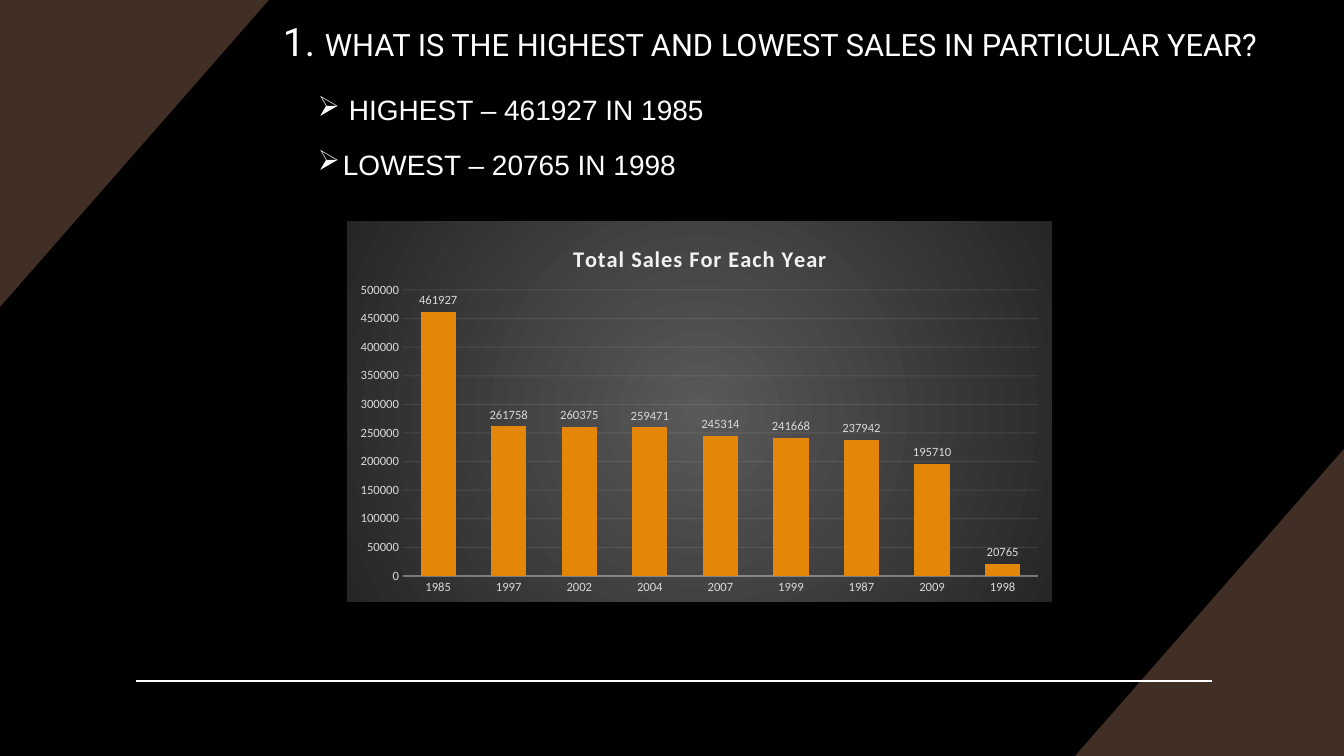
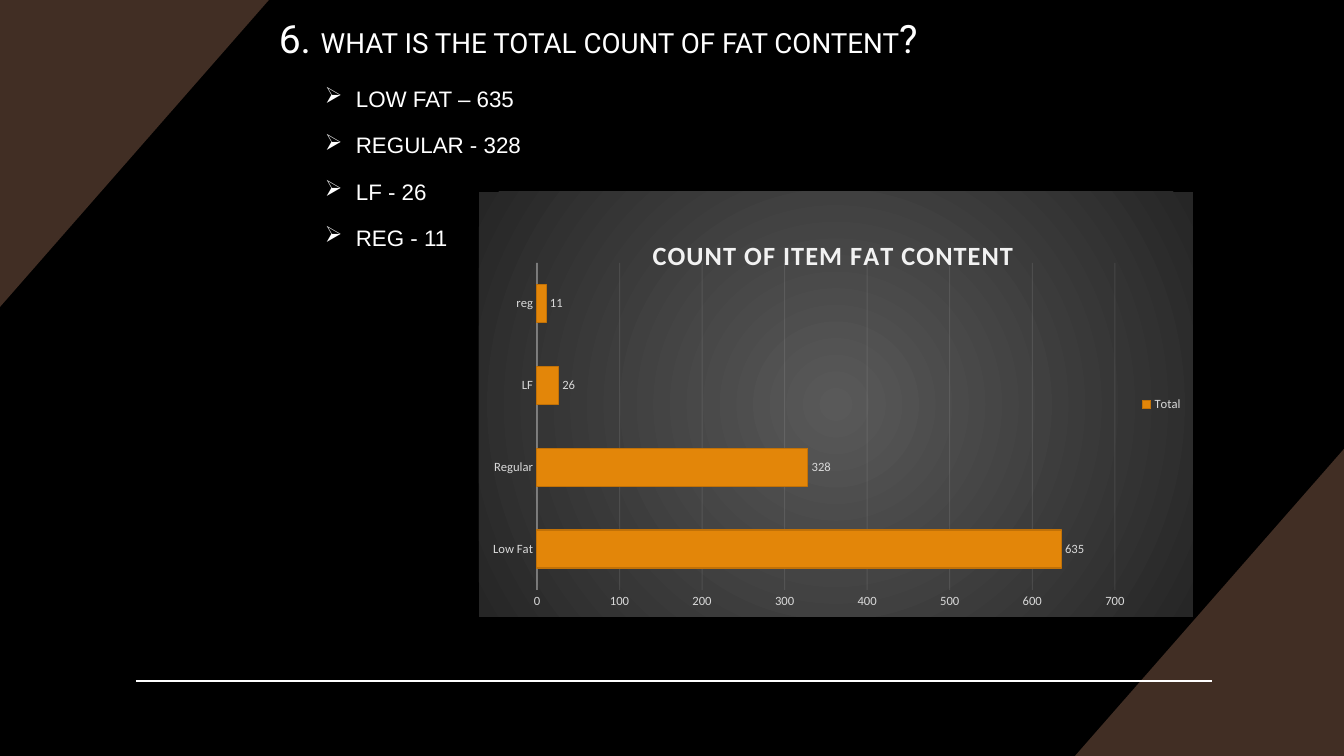
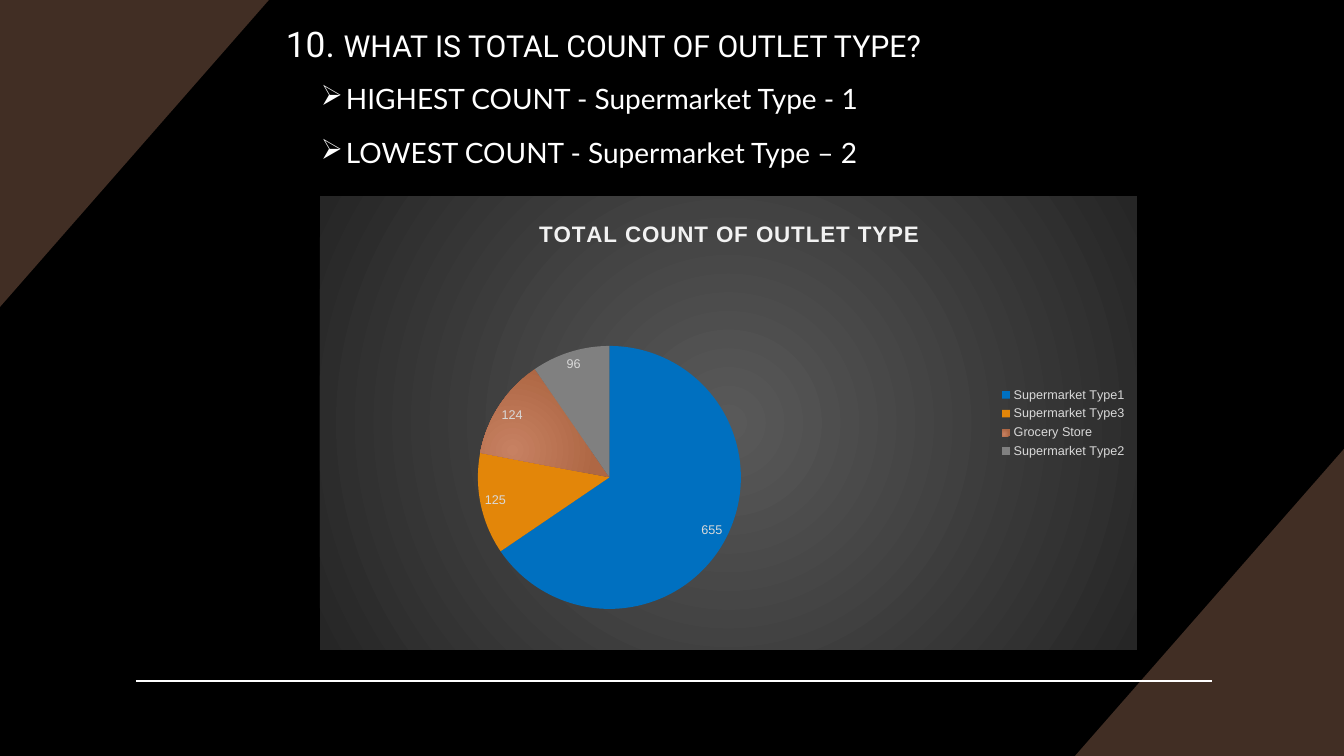
"""Build three sales question slides, each with bullets and a chart."""
from dataclasses import dataclass

from pptx import Presentation
from pptx.chart.data import CategoryChartData
from pptx.dml.color import RGBColor
from pptx.enum.chart import XL_CHART_TYPE, XL_LABEL_POSITION, XL_LEGEND_POSITION, XL_TICK_MARK
from pptx.enum.shapes import MSO_CONNECTOR
from pptx.enum.text import MSO_ANCHOR
from pptx.oxml import parse_xml
from pptx.oxml.ns import nsdecls
from pptx.util import Pt

COLUMN = XL_CHART_TYPE.COLUMN_CLUSTERED
BAR = XL_CHART_TYPE.BAR_CLUSTERED
PIE = XL_CHART_TYPE.PIE
OUTSIDE = XL_LABEL_POSITION.OUTSIDE_END
BEST = XL_LABEL_POSITION.BEST_FIT
RIGHT = XL_LEGEND_POSITION.RIGHT
NO_TICK = XL_TICK_MARK.NONE
STRAIGHT = MSO_CONNECTOR.STRAIGHT
TOP = MSO_ANCHOR.TOP
MIDDLE = MSO_ANCHOR.MIDDLE
SCALE = 914400 / 100.8


@dataclass(frozen=True)
class Theme:
    """Colours, fonts and type sizes of the deck."""
    back: str = "000000"
    corner: str = "412E24"
    text: str = "FFFFFF"
    pale: str = "F2F2F2"
    label: str = "D9D9D9"
    bar: str = "E38609"
    edge: str = "C17107"
    glow: tuple = ("595959", "262626")
    copper: tuple = ("C78162", "AE6744")
    blue: str = "0070C0"
    grey: str = "808080"
    head: str = "Roboto"
    body: str = "Arial"
    soft: str = "Lato"
    data: str = "Calibri"
    tiny: int = 9
    base: int = 10
    name: int = 16


def px(value):
    """Turn pixels into EMU."""
    return round(value * SCALE)


def rgb(code):
    """Turn a hex code into a colour."""
    return RGBColor.from_string(code)


def paint(fill, code):
    """Set a solid fill."""
    fill.solid()
    fill.fore_color.rgb = rgb(code)


def style(font, size, code, face, bold=False):
    """Set the look of a font."""
    font.size, font.name, font.bold = Pt(size), face, bold
    font.color.rgb = rgb(code)


def write(para, text, size, code, face, bold=False, gap=None):
    """Add one formatted run to a paragraph."""
    run = para.add_run()
    run.text = text
    style(run.font, size, code, face, bold)
    if gap:
        run.font._element.set("spc", str(gap))


def radial(inner, outer, rect):
    """Make a circular gradient fill."""
    sides = " ".join(f'{side}="{part * 1000}"' for side, part in zip("ltrb", rect))
    return parse_xml(
        f'<a:gradFill {nsdecls("a")}><a:gsLst>'
        f'<a:gs pos="0"><a:srgbClr val="{inner}"/></a:gs>'
        f'<a:gs pos="100000"><a:srgbClr val="{outer}"/></a:gs></a:gsLst>'
        f'<a:path path="circle"><a:fillToRect {sides}/></a:path></a:gradFill>')


def layout(inner=False, **parts):
    """Make a manual chart layout from fractions."""
    target = '<c:layoutTarget val="inner"/>' if inner else ""
    modes = "".join(f'<c:{key}Mode val="edge"/>' for key in "xy")
    sizes = "".join(f'<c:{key} val="{part:.4f}"/>' for key, part in parts.items())
    return parse_xml(f'<c:layout {nsdecls("c")}><c:manualLayout>'
                     f'{target}{modes}{sizes}</c:manualLayout></c:layout>')


class Deck:
    """Holds the theme and the current slide."""

    def __init__(self, theme):
        """Open an empty deck."""
        self.theme = theme
        self.show = Presentation()
        self.show.slide_width, self.show.slide_height = px(1344), px(756)
        self.slide = None

    def start(self):
        """Add a slide with the shared background, corners and rule."""
        self.slide = self.show.slides.add_slide(self.show.slide_layouts[6])
        paint(self.slide.background.fill, self.theme.back)
        self.corner((1344, 449), (1344, 756), (1075, 756))
        self.corner((0, 307), (0, 0), (269, 0))
        self.rule(136, 1212, 681)

    def corner(self, first, *rest):
        """Draw a filled corner triangle."""
        path = self.slide.shapes.build_freeform(*first, scale=SCALE)
        path.add_line_segments(rest, close=True)
        shape = path.convert_to_shape()
        shape.shadow.inherit = False
        paint(shape.fill, self.theme.corner)
        shape.line.fill.background()

    def rule(self, left, right, top):
        """Draw a horizontal line."""
        line = self.slide.shapes.add_connector(
            STRAIGHT, px(left), px(top), px(right), px(top))
        line.line.width = Pt(1)
        paint(line.line.fill, self.theme.text)
        line._element.spPr.append(parse_xml(f'<a:effectLst {nsdecls("a")}/>'))

    def frame(self, box, anchor):
        """Add a wrapping text box."""
        frame = self.slide.shapes.add_textbox(*map(px, box)).text_frame
        frame.word_wrap = True
        frame.vertical_anchor = anchor
        return frame

    def title(self, box, *runs):
        """Add the question from text and size pairs."""
        para = self.frame(box, MIDDLE).paragraphs[0]
        for text, size in runs:
            write(para, text, size, self.theme.text, self.theme.head)

    def bullets(self, box, size, face, *items):
        """Add arrow bullets from text and indent pairs."""
        frame = self.frame(box, TOP)
        for row, (text, indent) in enumerate(items):
            para = frame.add_paragraph() if row else frame.paragraphs[0]
            para.line_spacing, para.space_before = 1.2, Pt(10)
            props = para._p.get_or_add_pPr()
            props.set("marL", str(px(indent)))
            props.set("indent", str(-px(indent)))
            props.append(parse_xml(f'<a:buChar {nsdecls("a")} char="➢"/>'))
            write(para, text, size, self.theme.text, face)

    def chart(self, kind, box, plot, data, face, spot, label, series="Series 1"):
        """Add a chart with its title, plot area and value labels."""
        theme = self.theme
        source = CategoryChartData()
        source.categories = list(data)
        source.add_series(series, list(data.values()))
        chart = self.slide.shapes.add_chart(kind, *map(px, box), source).chart
        style(chart.font, theme.base, theme.text, face)
        left, top, width, height = box
        chart.has_legend = False
        head = chart.chart_title
        text, size, x, y = label
        write(head.text_frame.paragraphs[0], text, size, theme.pale, face, True, 80)
        head.include_in_layout = False
        root = chart.element
        for old in root.xpath(".//c:title/c:layout | .//c:plotArea/c:layout"):
            old.getparent().remove(old)
        root.xpath(".//c:title/c:tx")[0].addnext(
            layout(x=(x - left) / width, y=(y - top) / height))
        root.xpath(".//c:plotArea")[0].insert(0, layout(
            True, x=(plot[0] - left) / width, y=(plot[1] - top) / height,
            w=plot[2] / width, h=plot[3] / height))
        back = parse_xml(f'<c:spPr {nsdecls("c", "a")}><a:ln><a:noFill/></a:ln></c:spPr>')
        back.insert(0, radial(*theme.glow, (50, 50, 50, 50)))
        root.xpath("./c:chart")[0].addnext(back)
        marks = chart.plots[0]
        marks.has_data_labels = True
        labels = marks.data_labels
        labels.show_value, labels.position = True, spot
        labels.show_percentage = False
        style(labels.font, theme.tiny, theme.label, face)
        return chart

    def legend(self, chart, face):
        """Show the legend on the right."""
        chart.has_legend = True
        chart.legend.position = RIGHT
        chart.legend.include_in_layout = False
        style(chart.legend.font, self.theme.tiny, self.theme.label, face)

    def bars(self, kind, box, plot, data, label, gap, lap, top, step, series="Series 1"):
        """Add a bar or column chart with styled axes."""
        theme = self.theme
        chart = self.chart(kind, box, plot, data, theme.data, OUTSIDE, label, series)
        marks = chart.plots[0]
        marks.vary_by_categories = False
        marks.gap_width, marks.overlap = gap, lap
        marks.series[0].invert_if_negative = False
        paint(marks.series[0].format.fill, theme.bar)
        cats, vals = chart.category_axis, chart.value_axis
        for axis in (cats, vals):
            axis.major_tick_mark = axis.minor_tick_mark = NO_TICK
            style(axis.tick_labels.font, theme.tiny, theme.label, theme.data)
        cats.has_major_gridlines = False
        vals.minimum_scale, vals.maximum_scale, vals.major_unit = 0, top, step
        vals.format.line.fill.background()
        grid = vals.major_gridlines.format.line
        for line, width in ((cats.format.line, 1), (grid, 0.75)):
            line.width = Pt(width)
            paint(line.fill, theme.pale)
        self.fade(chart, "c:catAx/c:spPr", 54)
        self.fade(chart, "c:valAx/c:majorGridlines", 10)
        return chart

    def fade(self, chart, part, alpha):
        """Make the colour of a chart part see-through."""
        code = chart.element.xpath(f".//{part}//a:srgbClr")[0]
        code.append(parse_xml(f'<a:alpha {nsdecls("a")} val="{alpha * 1000}"/>'))


def sales(deck):
    """Build the yearly sales slide."""
    deck.start()
    deck.title((273, 0, 1013, 81), ("1. ", 28),
               ("WHAT IS THE HIGHEST AND LOWEST SALES IN PARTICULAR YEAR?", 22))
    deck.bullets((308, 81, 909, 570), 20, deck.theme.body,
                 ("HIGHEST – 461927 IN 1985", 31), ("LOWEST – 20765 IN 1998", 25))
    data = {"1985": 461927, "1997": 261758, "2002": 260375, "2004": 259471,
            "2007": 245314, "1999": 241668, "1987": 237942, "2009": 195710,
            "1998": 20765}
    deck.bars(COLUMN, (347, 221, 705, 381), (403, 290, 635, 286), data,
              ("Total Sales For Each Year", deck.theme.name, 569, 240),
              100, -24, 500000, 50000)


def fat(deck):
    """Build the fat content slide."""
    deck.start()
    deck.title((269, 0, 1060, 76), ("6. ", 27.9),
               ("WHAT IS THE TOTAL COUNT OF FAT CONTENT", 19.8), ("?", 27.9))
    rows = ("LOW FAT – 635", "REGULAR - 328", "LF - 26", "REG - 11")
    deck.bullets((315, 75, 903, 576), 16, deck.theme.body, *((row, 31) for row in rows))
    data = {"Low Fat": 635, "Regular": 328, "LF": 26, "reg": 11}
    chart = deck.bars(BAR, (479, 192, 714, 425), (537, 263, 578, 327), data,
                      ("COUNT OF ITEM FAT CONTENT", 18.8, 648, 232),
                      115, -20, 700, 100, "Total")
    line = chart.plots[0].series[0].format.line
    line.width = Pt(0.75)
    paint(line.fill, deck.theme.edge)
    deck.legend(chart, deck.theme.data)


def outlet(deck):
    """Build the outlet type slide."""
    theme = deck.theme
    deck.start()
    deck.title((276, 20, 1054, 46), ("10. ", 25.2),
               ("WHAT IS TOTAL COUNT OF OUTLET TYPE?", 21.6))
    deck.bullets((311, 70, 906, 581), 20, theme.soft,
                 ("HIGHEST COUNT - Supermarket Type - 1", 25),
                 ("LOWEST COUNT - Supermarket Type – 2", 25))
    data = {"Supermarket Type1": 655, "Supermarket Type3": 125,
            "Grocery Store": 124, "Supermarket Type2": 96}
    chart = deck.chart(PIE, (320, 196, 817, 454), (361, 346, 497, 263), data,
                       theme.body, BEST,
                       ("TOTAL COUNT OF OUTLET TYPE", theme.name, 535, 216))
    chart.plots[0].vary_by_categories = True
    points = chart.plots[0].series[0].points
    for spot, code in enumerate((theme.blue, theme.bar, theme.copper[0], theme.grey)):
        paint(points[spot].format.fill, code)
        points[spot].format.line.fill.background()
    solid = chart.element.xpath(".//c:dPt[c:idx/@val='2']/c:spPr/a:solidFill")[0]
    solid.getparent().replace(solid, radial(*theme.copper, (50, 100, 100, 50)))
    deck.legend(chart, theme.body)


def main():
    """Build and save the deck."""
    deck = Deck(Theme())
    for build in (sales, fat, outlet):
        build(deck)
    deck.show.save("out.pptx")


main()
